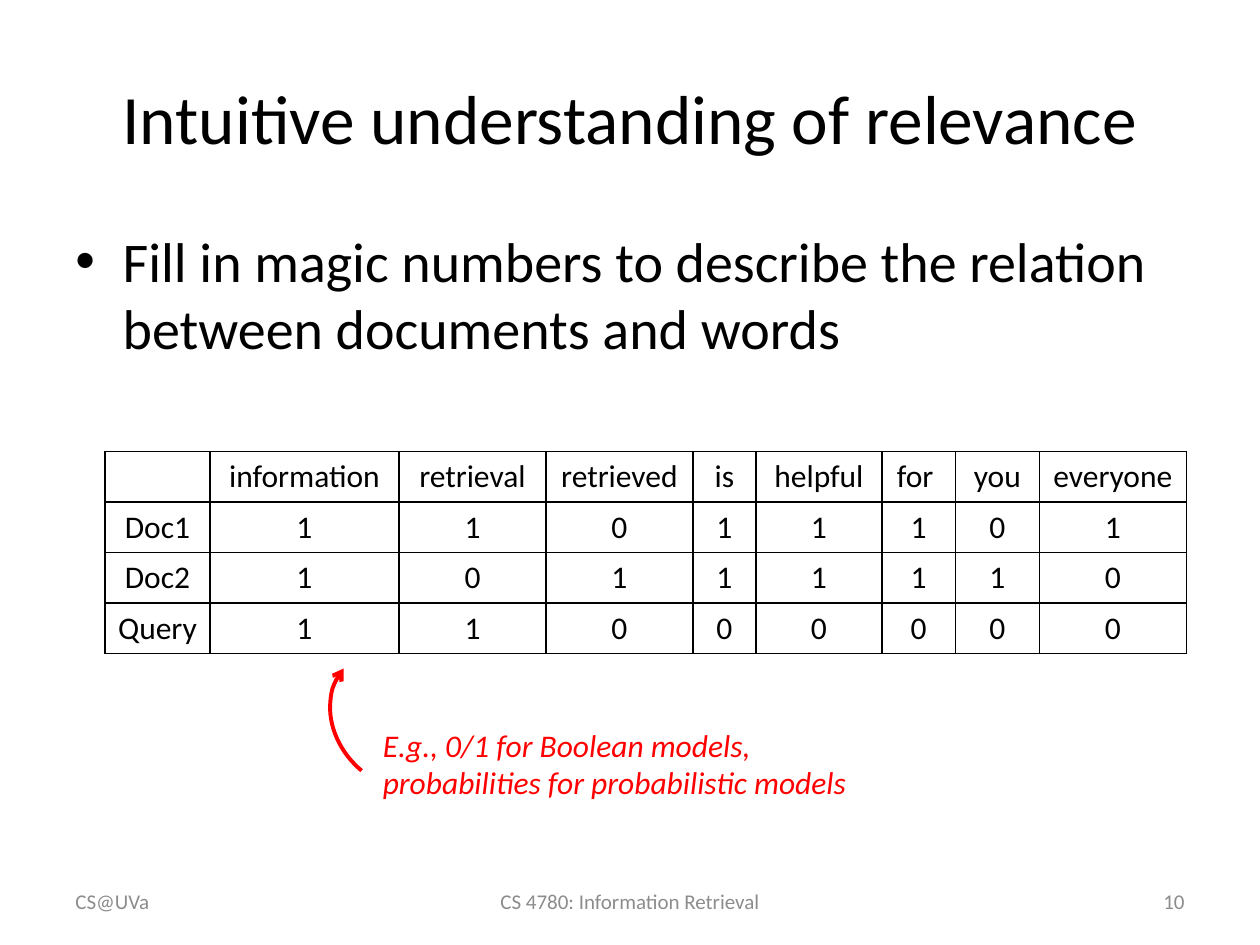
import pptx
import pptx.util
import pptx.dml.color
import pptx.enum.shapes
import pptx.enum.text
import pptx.oxml
import pptx.oxml.ns

WIDTH, HEIGHT = 10, 7.5
MARGIN = WIDTH / 20
CONTENT = WIDTH - 2 * MARGIN
UNIT = 1 / 12
BLACK, GREY, RED = "000000", "8C8C8C", "FF0000"
ALIGN = pptx.enum.text.PP_ALIGN
ANCHOR = pptx.enum.text.MSO_ANCHOR

COLUMN_UNITS = [10, 18, 14, 14, 6, 12, 7, 8, 14]
RELEVANCE = [
    ["", "information", "retrieval", "retrieved", "is", "helpful", "for ", "you", "everyone"],
    ["Doc1", *"11011101"],
    ["Doc2", *"10111110"],
    ["Query", *"11000000"],
]


def colour(value):
    return pptx.dml.color.RGBColor.from_string(value)


def inches(*lengths):
    return [pptx.util.Inches(length) for length in lengths]


def add_xml(parent, tag, **attributes):
    child = pptx.oxml.ns.qn(tag)
    element = parent.makeelement(child, attributes)
    parent.append(element)
    return element


def format_paragraph(para, size, shade, align=ALIGN.LEFT, italic=False):
    para.alignment = align
    font = para.font
    font.name, font.size, font.color.rgb = "Calibri", pptx.util.Pt(size), colour(shade)
    font.bold, font.italic = False, italic


def add_text(page, area, text, size, shade, align=ALIGN.LEFT, anchor=ANCHOR.TOP, italic=False):
    box = page.shapes.add_textbox(*inches(*area))
    frame = box.text_frame
    frame.word_wrap = True
    frame.vertical_anchor = anchor
    frame.text = text
    format_paragraph(frame.paragraphs[0], size, shade, align, italic)
    return box


def fill_title(page, area, text):
    title = page.shapes.title
    title.left, title.top, title.width, title.height = inches(*area)
    title.text_frame.text = text
    title.text_frame.vertical_anchor = ANCHOR.MIDDLE
    format_paragraph(title.text_frame.paragraphs[0], 39.6, BLACK, ALIGN.CENTER)


def add_bullet(page, area, text):
    box = page.shapes.add_textbox(*inches(*area))
    box.text_frame.word_wrap = True
    para = box.text_frame.paragraphs[0]
    para.text = text
    properties = para._p.get_or_add_pPr()
    indent = pptx.util.Inches(0.375)
    properties.set("marL", str(indent))
    properties.set("indent", str(-indent))
    add_xml(properties, "a:buFont", typeface="Arial")
    add_xml(properties, "a:buChar", char="•")
    format_paragraph(para, 32, BLACK)


def border_cell(cell):
    properties = cell._tc.get_or_add_tcPr()
    for side in ("a:lnL", "a:lnR", "a:lnT", "a:lnB"):
        line = add_xml(properties, side, w=str(pptx.util.Pt(1)))
        add_xml(add_xml(line, "a:solidFill"), "a:srgbClr", val=BLACK)


def add_relevance_table(page, left, top, row_height):
    width = sum(COLUMN_UNITS) * UNIT
    area = inches(left, top, width, row_height * len(RELEVANCE))
    table = page.shapes.add_table(len(RELEVANCE), len(COLUMN_UNITS), *area).table
    table.first_row = table.horz_banding = False
    for column, units in zip(table.columns, COLUMN_UNITS):
        column.width = pptx.util.Inches(units * UNIT)
    for row, values in zip(table.rows, RELEVANCE):
        for cell, value in zip(row.cells, values):
            cell.text = value
            format_paragraph(cell.text_frame.paragraphs[0], 18, BLACK, ALIGN.CENTER)
            border_cell(cell)
            cell.fill.background()


def add_model_note(page, left, top, width, height):
    text = "E.g., 0/1 for Boolean models, probabilities for probabilistic models"
    note_width = 4
    add_text(page, (left + width - note_width, top + height / 2, note_width, 0.71),
             text, 18, RED, italic=True)
    arc_area = inches(left, top, 1.26, height)
    arc = page.shapes.add_shape(pptx.enum.shapes.MSO_SHAPE.ARC, *arc_area)
    arc.rotation = 220
    arc.shadow.inherit = False
    arc.fill.background()
    arc.line.color.rgb = colour(RED)
    arc.line.width = pptx.util.Pt(2.25)
    add_xml(arc.line._get_or_add_ln(), "a:tailEnd", type="arrow")


def add_footer(page, top, height):
    side, middle = CONTENT * 7 / 27, WIDTH * 19 / 60
    parts = [
        ("CS@UVa", MARGIN, side, ALIGN.LEFT),
        ("CS 4780: Information Retrieval", (WIDTH - middle) / 2, middle, ALIGN.CENTER),
        ("10", WIDTH - MARGIN - side, side, ALIGN.RIGHT),
    ]
    for text, left, width, align in parts:
        add_text(page, (left, top, width, height), text, 12, GREY, align, ANCHOR.MIDDLE)


def main():
    deck = pptx.Presentation()
    deck.slide_width, deck.slide_height = inches(WIDTH, HEIGHT)
    page = deck.slides.add_slide(deck.slide_layouts[5])
    fill_title(page, (MARGIN, HEIGHT * 0.04, CONTENT, HEIGHT / 6),
               "Intuitive understanding of relevance")
    add_bullet(page, (MARGIN, 1.75, CONTENT, HEIGHT * 0.66),
               "Fill in magic numbers to describe the relation between documents and words")
    add_relevance_table(page, 10 * UNIT, 43 * UNIT, 0.4)
    add_model_note(page, 2.58, 5.18, 4.36, 1.06)
    add_footer(page, 6.95, 0.4)
    deck.save("out.pptx")


if __name__ == "__main__":
    main()
